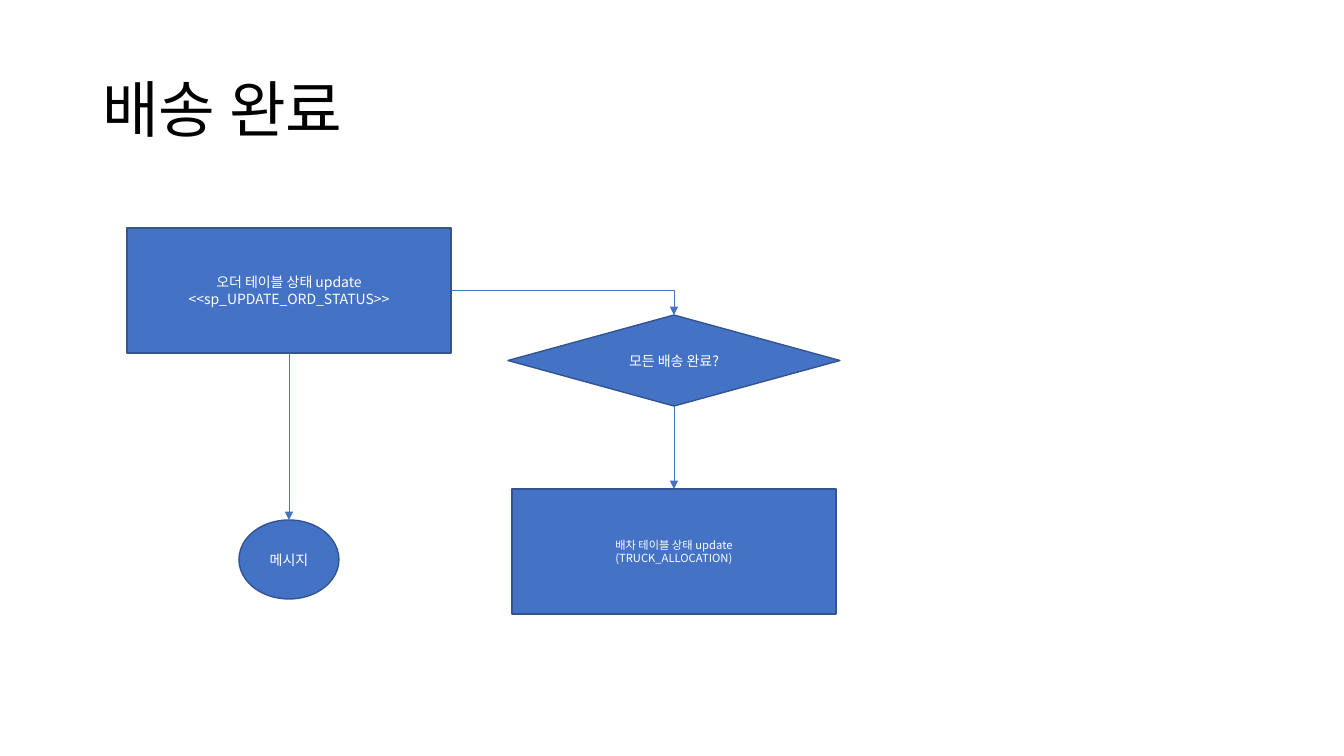
from dataclasses import dataclass
from pptx import Presentation
from pptx.dml.color import RGBColor
from pptx.enum.shapes import MSO_CONNECTOR, MSO_SHAPE
from pptx.enum.text import MSO_ANCHOR, MSO_AUTO_SIZE, PP_ALIGN
from pptx.oxml.ns import qn
from pptx.util import Pt
from lxml.etree import SubElement

TITLE = "배송 완료"
LEFT, RIGHT = 289, 674
TOP, LOW, SIDE = 0, 2, 3

NODES = {
    "order": (MSO_SHAPE.RECTANGLE, LEFT, 228, 324, 125, "body",
              ["오더 테이블 상태 update", "<<sp_UPDATE_ORD_STATUS>>"]),
    "truck": (MSO_SHAPE.RECTANGLE, RIGHT, 489, 324, 125, "small",
              ["배차 테이블 상태 update", "(TRUCK_ALLOCATION)"]),
    "check": (MSO_SHAPE.FLOWCHART_DECISION, RIGHT, 315, 332, 91, "body",
              ["모든 배송 완료?"]),
    "alert": (MSO_SHAPE.OVAL, LEFT, 520, 100, 79, "body", ["메시지"]),
}
LINKS = [
    ("check", LOW, "truck", "straightConnector1"),
    ("order", SIDE, "check", "bentConnector2"),
    ("order", LOW, "alert", "straightConnector1"),
]


@dataclass(frozen=True)
class Theme:
    font: str = "Noto Sans CJK KR"
    fill: RGBColor = RGBColor(0x44, 0x72, 0xC4)
    edge: RGBColor = RGBColor(0x32, 0x54, 0x91)
    dark: RGBColor = RGBColor(0, 0, 0)
    light: RGBColor = RGBColor(255, 255, 255)
    title: int = 44
    body: int = 10
    small: int = 8
    rim: float = 1
    wire: float = 0.5


THEME = Theme()


def px(n):
    return round(n * 914400 / 100.8)


def write(para, text, size, color, align):
    para.alignment = align
    run = para.add_run()
    run.text = text
    font = run.font
    font.name, font.size = THEME.font, Pt(size)
    font.color.rgb = color
    SubElement(font._element, qn("a:ea"), typeface=THEME.font)


def add_title(slide):
    shape = slide.shapes.title
    shape.left, shape.top, shape.width, shape.height = map(px, (92, 40, 1159, 146))
    frame = shape.text_frame
    frame.auto_size = MSO_AUTO_SIZE.NONE
    frame.vertical_anchor = MSO_ANCHOR.MIDDLE
    para = frame.paragraphs[0]
    para.line_spacing = 0.9
    write(para, TITLE, THEME.title, THEME.dark, PP_ALIGN.LEFT)


def add_node(slide, kind, mid, top, wide, high, size, lines):
    shape = slide.shapes.add_shape(kind, *map(px, (mid - wide / 2, top, wide, high)))
    shape.shadow.inherit = False
    shape.fill.solid()
    shape.fill.fore_color.rgb = THEME.fill
    shape.line.color.rgb = THEME.edge
    shape.line.width = Pt(THEME.rim)
    frame = shape.text_frame
    frame.word_wrap = True
    frame.vertical_anchor = MSO_ANCHOR.MIDDLE
    for i, text in enumerate(lines):
        para = frame.add_paragraph() if i else frame.paragraphs[0]
        write(para, text, getattr(THEME, size), THEME.light, PP_ALIGN.CENTER)
    return shape


def add_link(slide, start, site, end, form):
    link = slide.shapes.add_connector(MSO_CONNECTOR.STRAIGHT, 0, 0, 0, 0)
    link.begin_connect(start, site)
    link.end_connect(end, TOP)
    link.line.color.rgb = THEME.fill
    link.line.width = Pt(THEME.wire)
    props = link._element.spPr
    props.find(qn("a:prstGeom")).set("prst", form)
    SubElement(props.find(qn("a:ln")), qn("a:tailEnd"), type="triangle")
    SubElement(props, qn("a:effectLst"))


def main():
    deck = Presentation()
    deck.slide_width, deck.slide_height = px(1344), px(756)
    slide = deck.slides.add_slide(deck.slide_layouts.get_by_name("Title Only"))
    add_title(slide)
    nodes = {name: add_node(slide, *node) for name, node in NODES.items()}
    for start, site, end, form in LINKS:
        add_link(slide, nodes[start], site, nodes[end], form)
    deck.save("out.pptx")


if __name__ == "__main__":
    main()
